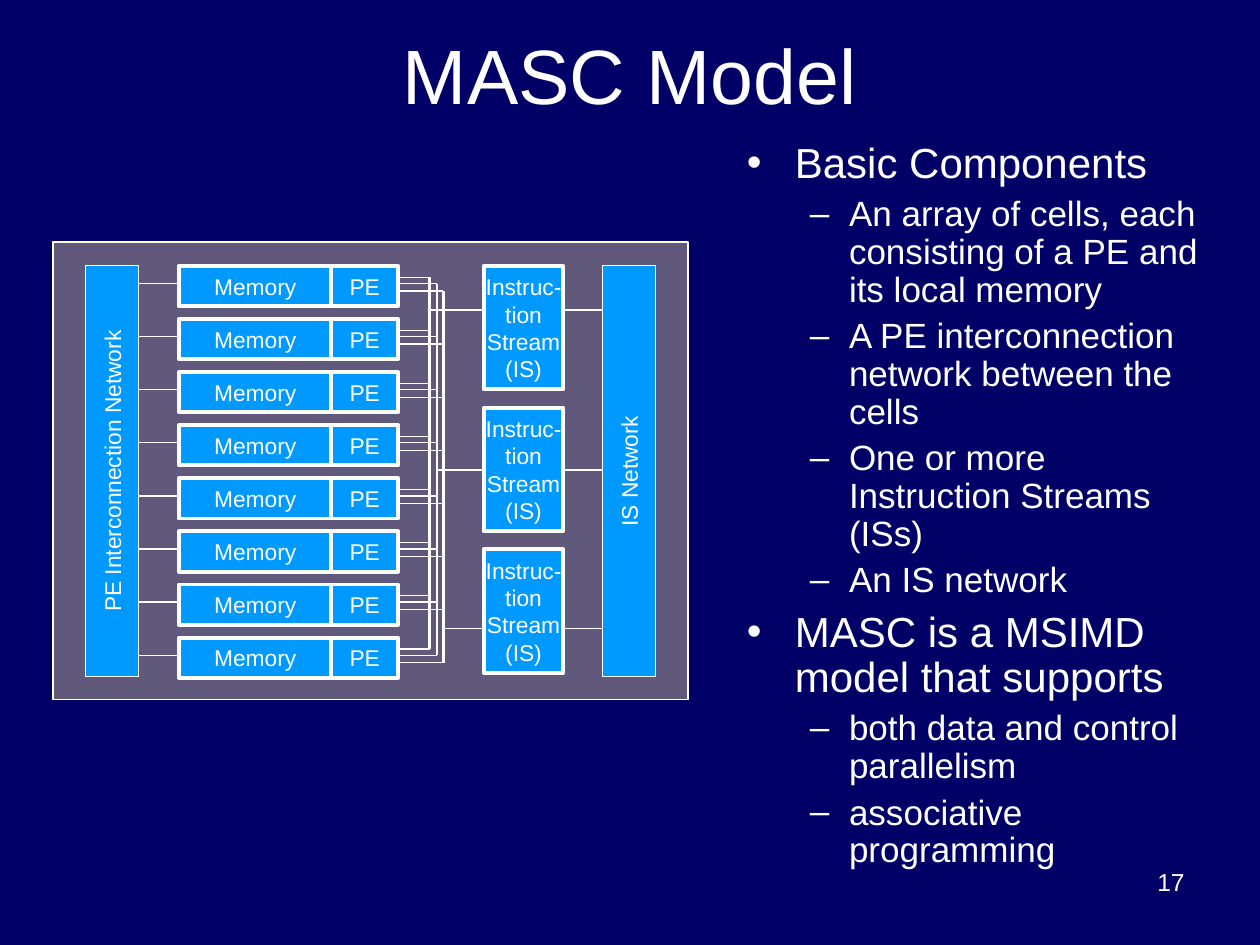
from dataclasses import dataclass

from lxml.etree import SubElement
from pptx import Presentation
from pptx.dml.color import RGBColor
from pptx.enum.shapes import MSO_CONNECTOR, MSO_SHAPE
from pptx.enum.text import MSO_ANCHOR, PP_ALIGN
from pptx.oxml.ns import qn
from pptx.util import Inches, Pt

NAVY, SLATE, BLUE, WHITE = "000066", "60597B", "0099FF", "FFFFFF"
FONT = "Arial"
LABEL_SIZE = 13

CELL_COUNT = 8
CELL_TOP = 2.11
CELL_HEIGHT = 0.32
CELL_PITCH = 2.95 / (CELL_COUNT - 1)
MEMORY_LEFT, MEMORY_WIDTH = 1.42, 1.21
PE_LEFT, PE_WIDTH = 2.63, 0.53
PE_RIGHT = 3.15
STREAM_LEFT, STREAM_WIDTH, STREAM_HEIGHT = 3.84, 0.63, 0.98
STREAM_PITCH = 1.125
NETWORK_WIDTH, NETWORK_HEIGHT = 0.42, 3.26
PE_NETWORK_LEFT, IS_NETWORK_LEFT = 0.68, 4.78


@dataclass(frozen=True)
class Box:
    left: float
    top: float
    width: float
    height: float


@dataclass(frozen=True)
class Bus:
    """Vertical line joining every cell to one instruction stream."""
    x: float
    first_y: float
    stream_y: float


@dataclass(frozen=True)
class BulletStyle:
    character: str
    size: int
    margin: float
    hanging: float
    space_before: int


TOPIC = BulletStyle("•", 24, 0.38, 0.38, 6)
DETAIL = BulletStyle("–", 20, 0.81, 0.31, 5)

BUSES = [Bus(3.47, 2.25, 3.73), Bus(3.41, 2.2, 2.46), Bus(3.52, 2.31, 4.99)]

POINTS = [
    (TOPIC, "Basic Components"),
    (DETAIL, "An array of cells, each consisting of a PE and its local memory"),
    (DETAIL, "A PE interconnection network between the cells"),
    (DETAIL, "One or more Instruction Streams (ISs)"),
    (DETAIL, "An IS network"),
    (TOPIC, "MASC is a MSIMD model that supports"),
    (DETAIL, "both data and control parallelism"),
    (DETAIL, "associative programming"),
]


def color(value: str) -> RGBColor:
    return RGBColor.from_string(value)


def add_run(paragraph, text: str, size: float) -> None:
    run = paragraph.add_run()
    run.text = text
    run.font.name = FONT
    run.font.size = Pt(size)
    run.font.color.rgb = color(WHITE)


def add_text_box(slide, box: Box, anchor=MSO_ANCHOR.TOP):
    """Add a wrapping text box and return its text frame."""
    shape = slide.shapes.add_textbox(
        Inches(box.left), Inches(box.top), Inches(box.width), Inches(box.height))
    shape.text_frame.word_wrap = True
    shape.text_frame.vertical_anchor = anchor
    return shape.text_frame


def add_line_of_text(slide, box: Box, text: str, size: float, alignment, anchor) -> None:
    paragraph = add_text_box(slide, box, anchor).paragraphs[0]
    paragraph.alignment = alignment
    add_run(paragraph, text, size)


def add_rectangle(shapes, box: Box, fill: str, line_width: float):
    shape = shapes.add_shape(
        MSO_SHAPE.RECTANGLE,
        Inches(box.left), Inches(box.top), Inches(box.width), Inches(box.height))
    shape.shadow.inherit = False
    shape.fill.solid()
    shape.fill.fore_color.rgb = color(fill)
    shape.line.color.rgb = color(WHITE)
    shape.line.width = Pt(line_width)
    return shape


def add_labelled_box(shapes, box: Box, paragraphs: list[list[str]],
                     line_width: float = 2.25, upward: bool = False) -> None:
    """Each paragraph is a list of lines; upward text reads bottom to top."""
    frame = add_rectangle(shapes, box, BLUE, line_width).text_frame
    frame.word_wrap = False
    frame.vertical_anchor = MSO_ANCHOR.MIDDLE
    if upward:
        frame._txBody.bodyPr.set("vert", "vert270")
        frame.margin_left = frame.margin_right = Inches(0.05)
        frame.margin_top = frame.margin_bottom = Inches(0.1)
    for index, lines in enumerate(paragraphs):
        paragraph = frame.add_paragraph() if index else frame.paragraphs[0]
        paragraph.alignment = PP_ALIGN.CENTER
        for line_index, line in enumerate(lines):
            if line_index:
                paragraph.add_line_break()
            add_run(paragraph, line, LABEL_SIZE)


def add_line(shapes, x1: float, y1: float, x2: float, y2: float,
             width: float = 0.75) -> None:
    connector = shapes.add_connector(
        MSO_CONNECTOR.STRAIGHT, Inches(x1), Inches(y1), Inches(x2), Inches(y2))
    connector.line.color.rgb = color(WHITE)
    connector.line.width = Pt(width)
    SubElement(connector._element.spPr, qn("a:effectLst"))


def add_bullet(paragraph, style: BulletStyle) -> None:
    properties = paragraph._p.get_or_add_pPr()
    properties.set("marL", str(Inches(style.margin)))
    properties.set("indent", str(-Inches(style.hanging)))
    bullet_color = SubElement(properties, qn("a:buClr"))
    SubElement(bullet_color, qn("a:srgbClr"), val=WHITE)
    SubElement(properties, qn("a:buFont"), typeface=FONT)
    SubElement(properties, qn("a:buChar"), char=style.character)


def add_points(slide) -> None:
    frame = add_text_box(slide, Box(5.83, 1.08, 3.92, 6.08))
    for index, (style, text) in enumerate(POINTS):
        paragraph = frame.add_paragraph() if index else frame.paragraphs[0]
        paragraph.level = 1 if style is DETAIL else 0
        paragraph.line_spacing = 0.9
        if index:
            paragraph.space_before = Pt(style.space_before)
        add_bullet(paragraph, style)
        add_run(paragraph, text, style.size)


def add_diagram(slide) -> None:
    shapes = slide.shapes.add_group_shape().shapes
    cell_offsets = [CELL_PITCH * index for index in range(CELL_COUNT)]
    add_rectangle(shapes, Box(0.42, 1.92, 5.04, 3.63), SLATE, 0.75)

    for left, label in [(PE_NETWORK_LEFT, "PE Interconnection Network"),
                        (IS_NETWORK_LEFT, "IS Network")]:
        network = Box(left, CELL_TOP, NETWORK_WIDTH, NETWORK_HEIGHT)
        add_labelled_box(shapes, network, [[label]], line_width=0.75, upward=True)

    for offset in cell_offsets:
        memory = Box(MEMORY_LEFT, CELL_TOP + offset, MEMORY_WIDTH, CELL_HEIGHT)
        add_labelled_box(shapes, memory, [["Memory"]])
        y = 2.25 + offset
        add_line(shapes, MEMORY_LEFT, y, PE_NETWORK_LEFT + NETWORK_WIDTH, y)

    for bus in BUSES:
        for offset in cell_offsets:
            y = bus.first_y + offset
            add_line(shapes, bus.x, y, PE_RIGHT, y)
        add_line(shapes, bus.x, bus.first_y, bus.x, bus.first_y + cell_offsets[-1], 1.5)
        add_line(shapes, STREAM_LEFT, bus.stream_y, bus.x, bus.stream_y)
        add_line(shapes, IS_NETWORK_LEFT, bus.stream_y,
                 STREAM_LEFT + STREAM_WIDTH, bus.stream_y)

    for offset in cell_offsets:
        processor = Box(PE_LEFT, CELL_TOP + offset, PE_WIDTH, CELL_HEIGHT)
        add_labelled_box(shapes, processor, [["PE"]])

    for index in range(len(BUSES)):
        stream = Box(STREAM_LEFT, CELL_TOP + index * STREAM_PITCH,
                     STREAM_WIDTH, STREAM_HEIGHT)
        add_labelled_box(shapes, stream, [["Instruc-", "tion"], ["Stream"], ["(IS)"]])


def main() -> None:
    presentation = Presentation()
    presentation.slide_width = Inches(10)
    presentation.slide_height = Inches(7.5)
    slide = presentation.slides.add_slide(presentation.slide_layouts[6])
    slide.background.fill.solid()
    slide.background.fill.fore_color.rgb = color(NAVY)

    add_line_of_text(slide, Box(0.5, 0.17, 9, 0.83), "MASC Model", 44,
                     PP_ALIGN.CENTER, MSO_ANCHOR.MIDDLE)
    add_points(slide)
    add_diagram(slide)
    add_line_of_text(slide, Box(7.17, 6.83, 2.33, 0.52), "17", 14,
                     PP_ALIGN.RIGHT, MSO_ANCHOR.TOP)
    presentation.save("out.pptx")


if __name__ == "__main__":
    main()
